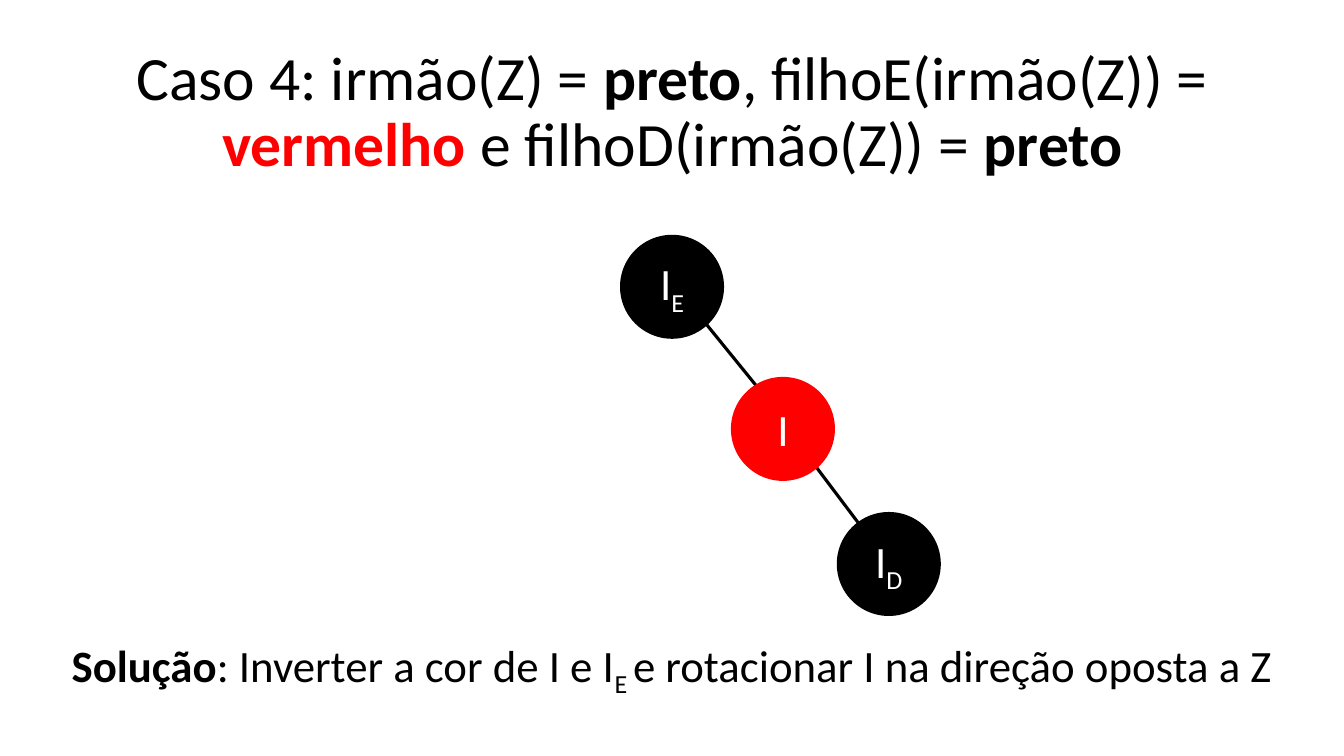
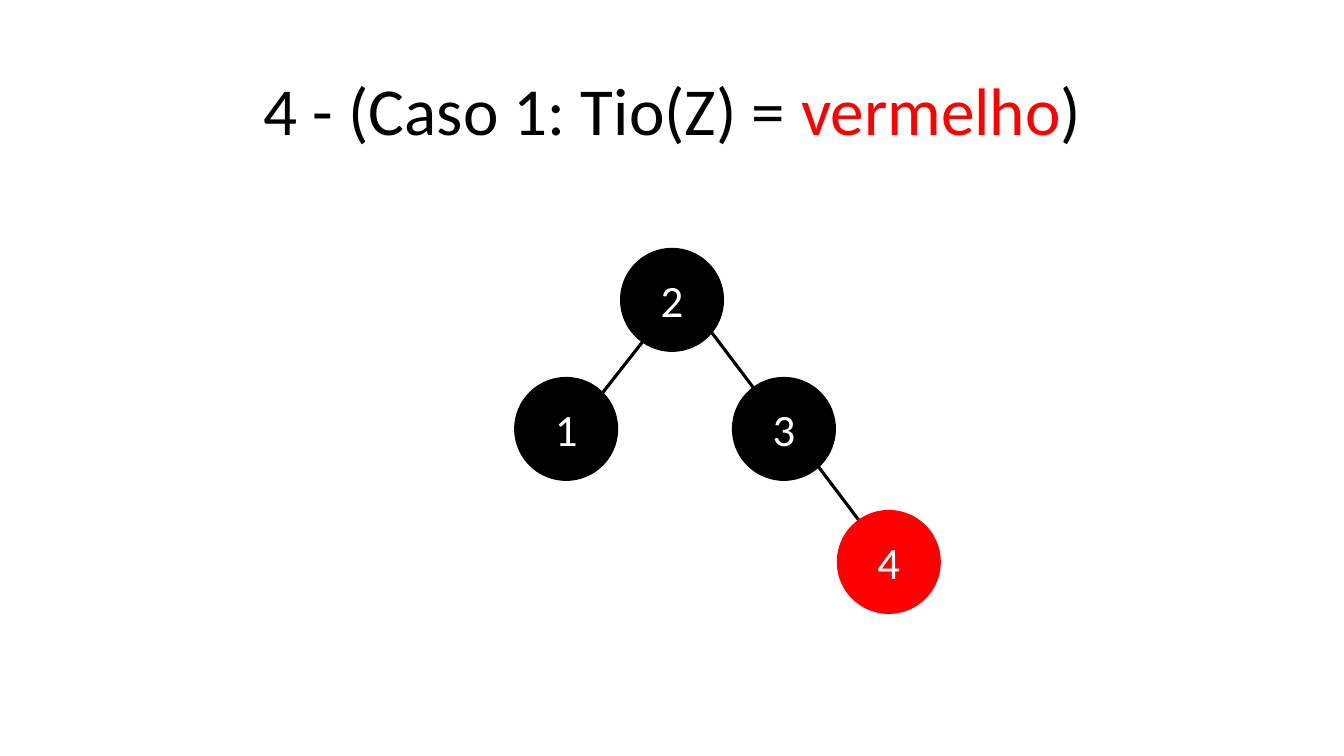
from dataclasses import dataclass

from lxml import etree
from pptx import Presentation
from pptx import util as u
from pptx.dml.color import RGBColor
from pptx.enum import shapes, text
from pptx.oxml import ns

EMU_PER_PX = 9144
SLIDE_WIDTH, SLIDE_HEIGHT = 1333, 750
NODE_SIZE = 99
TITLE_ONLY_LAYOUT = 5
FONT = "Calibri"
BLACK, RED, WHITE = "000000", "FF0000", "FFFFFF"


@dataclass(frozen=True)
class Part:
    words: str
    colour: str = ""
    bold: bool = False
    subscript: bool = False


@dataclass(frozen=True)
class Node:
    left: int
    top: int
    label: tuple[Part, ...]
    colour: str = BLACK


@dataclass(frozen=True)
class Edge:
    start: tuple[int, int]
    end: tuple[int, int]


@dataclass(frozen=True)
class TreeSlide:
    title: tuple[Part, ...]
    title_size: int
    nodes: tuple[Node, ...]
    edges: tuple[Edge, ...]
    solution: tuple[Part, ...] = ()


CASES = (
    TreeSlide(
        title=(
            Part("Caso 4: irmão(Z) = "),
            Part("preto", bold=True),
            Part(", filhoE(irmão(Z)) = "),
            Part("vermelho ", RED, bold=True),
            Part("e filhoD(irmão(Z)) = "),
            Part("preto", bold=True),
        ),
        title_size=44,
        nodes=(
            Node(617, 235, (Part("I"), Part("E", subscript=True))),
            Node(727, 376, (Part("I"),), RED),
            Node(832, 510, (Part("I"), Part("D", subscript=True))),
        ),
        edges=(Edge((700, 321), (752, 385)), Edge((810, 464), (853, 521))),
        solution=(
            Part("Solução", bold=True),
            Part(": Inverter a cor de I e I"),
            Part("E ", subscript=True),
            Part("e rotacionar I na direção oposta a Z"),
        ),
    ),
    TreeSlide(
        title=(Part("4 - (Caso 1: Tio(Z) = "), Part("vermelho", RED), Part(")")),
        title_size=48,
        nodes=(
            Node(512, 376, (Part("1"),)),
            Node(617, 248, (Part("2"),)),
            Node(728, 376, (Part("3"),)),
            Node(832, 508, (Part("4"),), RED),
        ),
        edges=(
            Edge((706, 330), (749, 387)),
            Edge((639, 337), (595, 393)),
            Edge((811, 462), (854, 519)),
        ),
    ),
)


def px(length: int) -> u.Emu:
    return u.Emu(length * EMU_PER_PX)


def rgb(colour: str) -> RGBColor:
    return RGBColor.from_string(colour)


def write(frame, parts: tuple[Part, ...], *, size: int = 32,
          colour: str = BLACK, spacing: float = 1.0) -> None:
    frame.word_wrap = True
    frame.auto_size = text.MSO_AUTO_SIZE.NONE
    frame.vertical_anchor = text.MSO_ANCHOR.MIDDLE
    paragraph = frame.paragraphs[0]
    paragraph.alignment = text.PP_ALIGN.CENTER
    paragraph.line_spacing = spacing
    for part in parts:
        run = paragraph.add_run()
        run.text = part.words
        run.font.name = FONT
        run.font.size = u.Pt(size)
        run.font.bold = part.bold
        run.font.color.rgb = rgb(part.colour or colour)
        if part.subscript:
            run._r.get_or_add_rPr().set("baseline", "-25000")


def add_title(slide, parts: tuple[Part, ...], size: int) -> None:
    title = slide.shapes.title
    title.left, title.top = px(92), px(40)
    title.width, title.height = px(1150), px(145)
    write(title.text_frame, parts, size=size, spacing=0.9)


def add_edge(slide, edge: Edge) -> None:
    branch = slide.shapes.add_connector(
        shapes.MSO_CONNECTOR.STRAIGHT, *map(px, edge.start + edge.end))
    branch.line.color.rgb = rgb(BLACK)
    branch.line.width = u.Pt(2.25)
    etree.SubElement(branch._element.spPr, ns.qn("a:effectLst"))


def add_node(slide, node: Node) -> None:
    circle = slide.shapes.add_shape(
        shapes.MSO_SHAPE.OVAL, px(node.left), px(node.top), px(NODE_SIZE), px(NODE_SIZE))
    circle.shadow.inherit = False
    circle.fill.solid()
    circle.fill.fore_color.rgb = rgb(node.colour)
    circle.line.color.rgb = rgb(node.colour)
    circle.line.width = u.Pt(3)
    write(circle.text_frame, node.label, colour=WHITE)


def add_solution(slide, parts: tuple[Part, ...]) -> None:
    top = 571
    solution = slide.shapes.add_textbox(
        px(0), px(top), px(SLIDE_WIDTH), px(SLIDE_HEIGHT - top))
    write(solution.text_frame, parts, spacing=0.9)


def add_tree_slide(deck, case: TreeSlide) -> None:
    slide = deck.slides.add_slide(deck.slide_layouts[TITLE_ONLY_LAYOUT])
    add_title(slide, case.title, case.title_size)
    if case.solution:
        add_solution(slide, case.solution)
    for edge in case.edges:
        add_edge(slide, edge)
    for node in case.nodes:
        add_node(slide, node)


def main() -> None:
    deck = Presentation()
    deck.slide_width, deck.slide_height = px(SLIDE_WIDTH), px(SLIDE_HEIGHT)
    for case in CASES:
        add_tree_slide(deck, case)
    deck.save("out.pptx")


if __name__ == "__main__":
    main()
